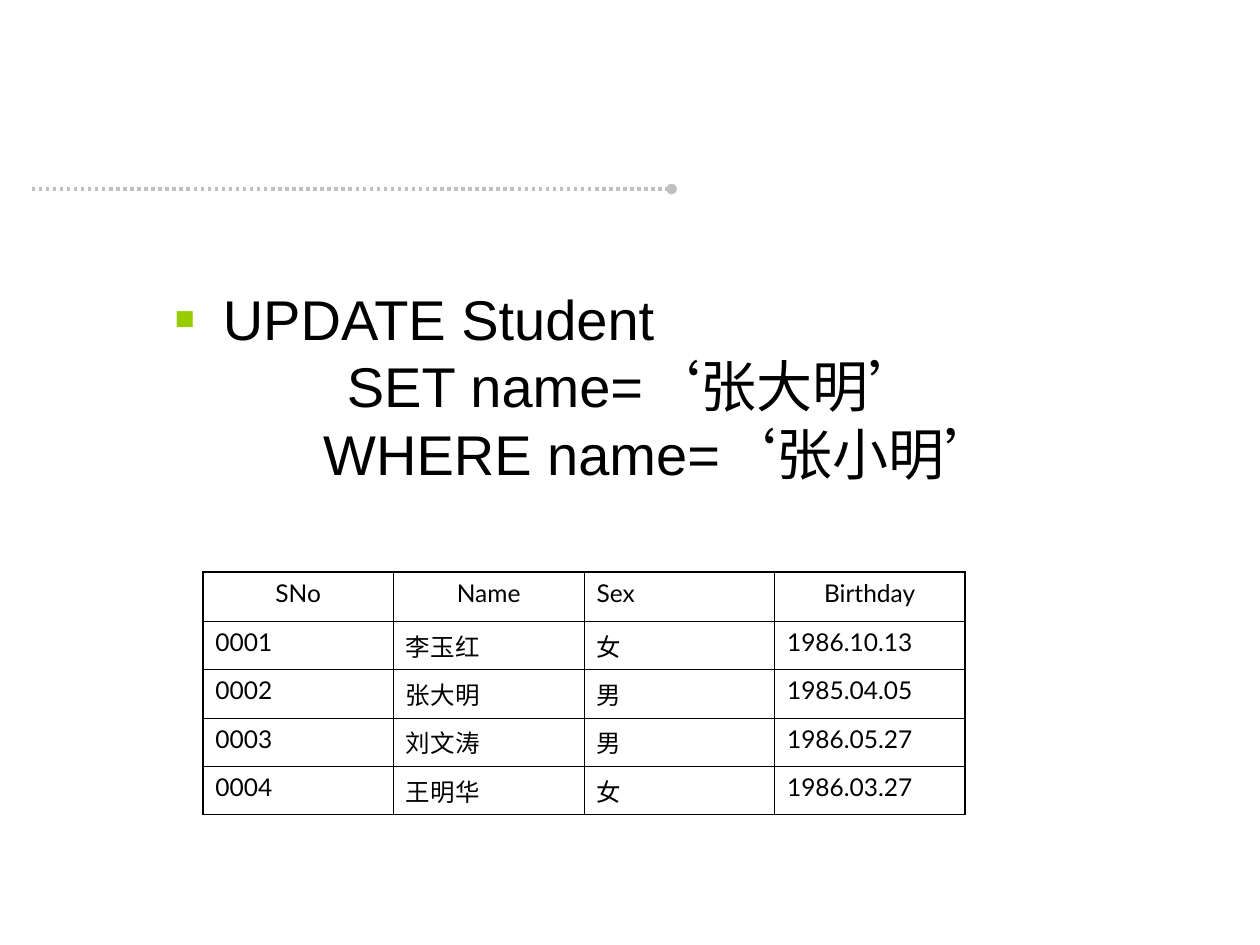
from dataclasses import dataclass

from lxml import etree
from pptx import Presentation
from pptx import util as u
from pptx.dml.color import RGBColor
from pptx.enum import dml, shapes, text
from pptx.oxml import ns

WIDE, HIGH = u.Inches(10), u.Inches(7.5)
BLACK = RGBColor(0x00, 0x00, 0x00)
GRAY = RGBColor(0xC0, 0xC0, 0xC0)
LIME = RGBColor(0x99, 0xCC, 0x00)
THIN, THICK = u.Pt(0.45), u.Pt(1.08)

QUERY = "\v".join((
    "UPDATE Student",
    "        SET name=‘张大明’",
    "        WHERE name=‘张小明’",
))
ROWS = (
    ("SNo", "Name", "Sex", "Birthday"),
    ("0001", "李玉红", "女", "1986.10.13"),
    ("0002", "张大明", "男", "1985.04.05"),
    ("0003", "刘文涛", "男", "1986.05.27"),
    ("0004", "王明华", "女", "1986.03.27"),
)
CENTERED = ("SNo", "Name", "Birthday")


@dataclass(frozen=True)
class Box:
    left: float
    top: float
    width: float
    height: float

    def frame(self) -> tuple:
        return (
            u.Inches(self.left), u.Inches(self.top),
            u.Inches(self.width), u.Inches(self.height),
        )


@dataclass(frozen=True)
class Edge:
    side: str
    width: int


def add(parent, tag: str, **attrs):
    return etree.SubElement(parent, ns.qn(tag), attrs)


def style(para, size: float, font: str) -> None:
    for run in para.runs:
        run.font.size = u.Pt(size)
        run.font.name = font
        run.font.color.rgb = BLACK
        run._r.get_or_add_rPr().set("lang", "zh-CN")


def draw_rule(slide, box: Box) -> None:
    left, top, width, height = box.frame()
    rule = slide.shapes.add_connector(
        shapes.MSO_CONNECTOR.STRAIGHT, left, top, left + width, top + height)
    rule.line.color.rgb = GRAY
    rule.line.width = u.Pt(2)
    rule.line.dash_style = dml.MSO_LINE.ROUND_DOT
    add(rule.line._get_or_add_ln(), "a:tailEnd", type="oval")
    add(rule._element.spPr, "a:effectLst")


def draw_edge(cell, edge: Edge, place: int) -> None:
    line = etree.Element(ns.qn(f"a:ln{edge.side}"), w=str(int(edge.width)))
    fill = add(line, "a:solidFill")
    add(fill, "a:srgbClr", val=str(BLACK))
    cell._tc.get_or_add_tcPr().insert(place, line)


def draw_table(slide, box: Box) -> None:
    count, span = len(ROWS), len(ROWS[0])
    grid = slide.shapes.add_table(count, span, *box.frame()).table
    grid.first_row = grid.horz_banding = False
    for col in grid.columns:
        col.width = u.Inches(box.width / span)
    for r, row in enumerate(ROWS):
        grid.rows[r].height = u.Inches(0.37 if r else 0.39)
        for c, word in enumerate(row):
            cell = grid.cell(r, c)
            cell.text_frame.text = word
            para = cell.text_frame.paragraphs[0]
            style(para, 14, "Lato")
            if word in CENTERED:
                para.alignment = text.PP_ALIGN.CENTER
            cell.fill.background()
            edges = (
                Edge("L", THICK if c == 0 else THIN),
                Edge("R", THICK if c == span - 1 else THIN),
                Edge("T", THICK if r == 0 else THIN),
                Edge("B", THICK if r == count - 1 else THIN),
            )
            for place, edge in enumerate(edges):
                draw_edge(cell, edge, place)


def draw_query(slide, box: Box) -> None:
    frame = slide.shapes.add_textbox(*box.frame()).text_frame
    frame.word_wrap = True
    para = frame.paragraphs[0]
    para.text = QUERY
    props = para._p.get_or_add_pPr()
    props.set("marL", str(u.Inches(0.38)))
    props.set("indent", str(-u.Inches(0.38)))
    tint = add(props, "a:buClr")
    add(tint, "a:srgbClr", val=str(LIME))
    add(props, "a:buSzPct", val="59000")
    add(props, "a:buFont", typeface="Arial")
    add(props, "a:buChar", char="■")
    style(para, 32, "Arial")


def main() -> None:
    deck = Presentation()
    deck.slide_width, deck.slide_height = WIDE, HIGH
    slide = deck.slides.add_slide(deck.slide_layouts[6])
    draw_rule(slide, Box(0.25, 1.5, 5.08, 0))
    draw_table(slide, Box(1.61, 4.54, 6.05, 1.87))
    draw_query(slide, Box(1.29, 2.21, 8.5, 4.5))
    deck.save("out.pptx")


if __name__ == "__main__":
    main()
